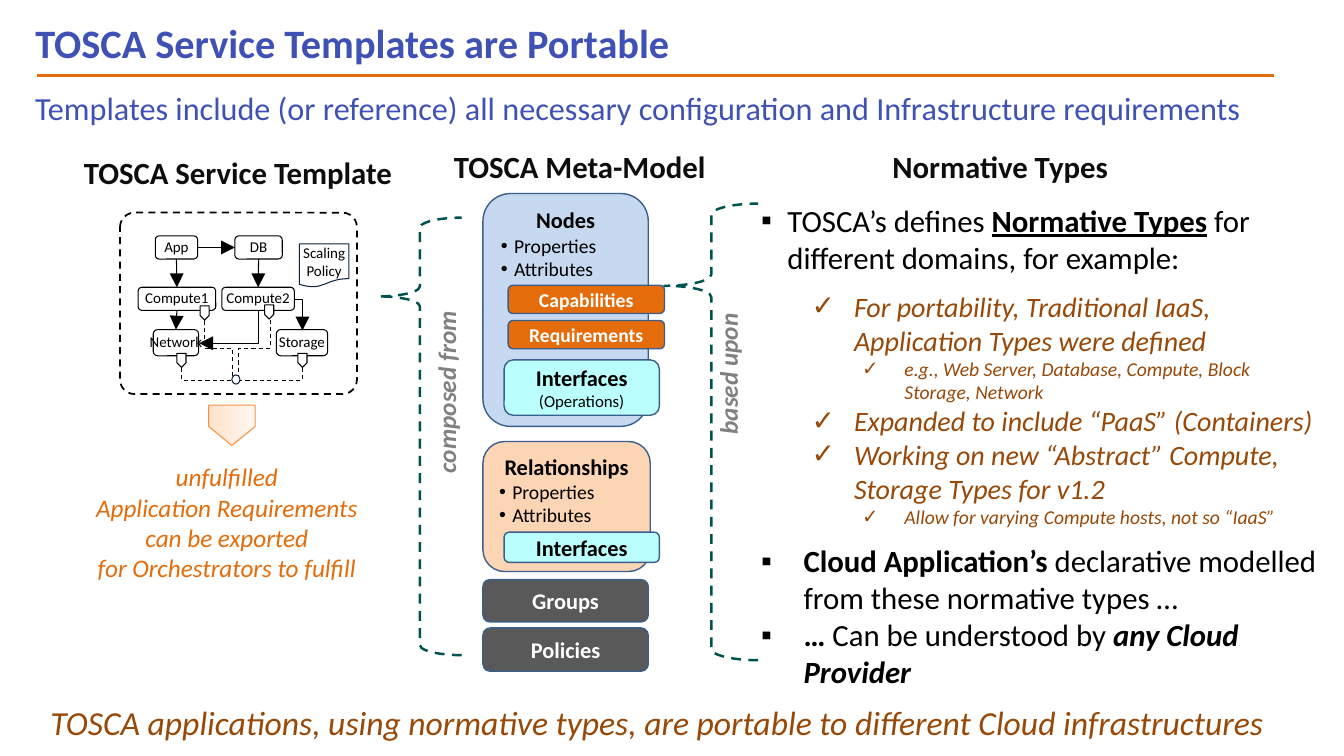
from dataclasses import dataclass, field
from typing import Any, Optional

from lxml import etree
from pptx import Presentation
from pptx.dml.color import RGBColor
from pptx.enum.dml import MSO_LINE
from pptx.enum.shapes import MSO_CONNECTOR as Link, MSO_SHAPE as Preset
from pptx.enum.text import MSO_ANCHOR as Anchor, MSO_AUTO_SIZE, PP_ALIGN as Align
from pptx.oxml.ns import qn
from pptx.util import Inches, Pt

FONT = "Calibri"
BLACK, WHITE, GREY, DARK_GREY = "000000", "FFFFFF", "808080", "595959"
INDIGO, ORANGE, BROWN, TEAL = "3F51B5", "E46C0A", "984807", "005250"
HEADING, NAVY, EDGE, AQUA = "0D0D0D", "0F243E", "3A5F8C", "BAFFFE"
BOLD, ITALIC, PLAIN = {"bold": True}, {"italic": True}, {}
NO_INSET, DEFAULT_INSET, WIDE_INSET = (0, 0), (0.1, 0.05), (0.13, 0.07)


@dataclass
class Line:
    runs: list[tuple[str, dict]]
    size: float
    color: str = BLACK
    align: Any = Align.CENTER
    bullet: str = ""
    level: int = 0
    left: float = 0
    hanging: float = 0
    before: float = 0
    spacing: float = 1


@dataclass
class Box:
    at: tuple[float, float, float, float]
    lines: list[Line] = field(default_factory=list)
    preset: Any = None  # None makes a text box
    fill: Optional[str] = None
    edge: str = EDGE
    weight: float = 1
    dashed: bool = False
    rotation: float = 0
    adjust: tuple[float, ...] = ()
    anchor: Any = Anchor.MIDDLE
    inset: tuple[float, float] = DEFAULT_INSET
    wrap: bool = True


@dataclass
class Elbow:
    at: tuple[float, float, float, float]  # frame before rotation
    rotation: int
    flipped: bool
    kind: str = "bentConnector2"
    dashed: bool = True


def rgb(color: str) -> RGBColor:
    return RGBColor.from_string(color)


def place(shape, at) -> None:
    for name, value in zip(("left", "top", "width", "height"), at):
        setattr(shape, name, Inches(value))


def write(shape, lines: list[Line], anchor, inset=DEFAULT_INSET, wrap=True) -> None:
    frame = shape.text_frame
    horizontal, vertical = map(Inches, inset)
    frame_format = {"auto_size": MSO_AUTO_SIZE.NONE, "word_wrap": wrap, "vertical_anchor": anchor,
                    "margin_left": horizontal, "margin_right": horizontal,
                    "margin_top": vertical, "margin_bottom": vertical}
    for name, value in frame_format.items():
        setattr(frame, name, value)
    for index, line in enumerate(lines):
        paragraph = frame.add_paragraph() if index else frame.paragraphs[0]
        if line.bullet:
            properties = paragraph._p.get_or_add_pPr()
            properties.set("marL", str(Inches(line.left)))
            properties.set("indent", str(-Inches(line.hanging)))
            etree.SubElement(properties, qn("a:buFont")).set("typeface", "Arial")
            etree.SubElement(properties, qn("a:buChar")).set("char", line.bullet)
        paragraph_format = {"level": line.level, "alignment": line.align,
                            "space_before": Pt(line.before), "line_spacing": line.spacing}
        for name, value in paragraph_format.items():
            setattr(paragraph, name, value)
        for text, style in line.runs:
            run = paragraph.add_run()
            run.text = text
            for name, value in {"name": FONT, "size": Pt(line.size), **style}.items():
                setattr(run.font, name, value)
            run.font.color.rgb = rgb(line.color)


def stroke(line, color: str, weight: float, dashed: bool = False) -> None:
    line.color.rgb = rgb(color)
    line.width = Pt(weight)
    if dashed:
        line.dash_style = MSO_LINE.DASH


def draw_box(slide, box: Box):
    frame = [Inches(value) for value in box.at]
    if box.preset is None:
        shape = slide.shapes.add_textbox(*frame)
    else:
        shape = slide.shapes.add_shape(box.preset, *frame)
        shape.shadow.inherit = False
        stroke(shape.line, box.edge, box.weight, box.dashed)
        for index, value in enumerate(box.adjust):
            shape.adjustments[index] = value
        if box.fill:
            shape.fill.solid()
            shape.fill.fore_color.rgb = rgb(box.fill)
        else:
            shape.fill.background()
    shape.rotation = box.rotation
    if box.lines:
        write(shape, box.lines, box.anchor, box.inset, box.wrap)
    return shape


def draw_link(slide, kind, start, end, color=BLACK, weight=0.75, dashed=False, arrow=False):
    link = slide.shapes.add_connector(kind, *map(Inches, start + end))
    stroke(link.line, color, weight, dashed)
    if arrow:
        etree.SubElement(link.line._get_or_add_ln(), qn("a:tailEnd"),
                         {"type": "triangle", "w": "lg", "len": "lg"})
    etree.SubElement(link._element.spPr, qn("a:effectLst"))
    return link


def draw_elbow(slide, elbow: Elbow) -> None:
    left, top, width, height = elbow.at
    link = draw_link(slide, Link.ELBOW, (left, top), (left + width, top + height),
                     dashed=elbow.dashed, arrow=not elbow.dashed)
    properties = link._element.spPr
    properties.find(qn("a:prstGeom")).set("prst", elbow.kind)
    frame = properties.find(qn("a:xfrm"))
    frame.set("rot", str(elbow.rotation * 60000))
    if elbow.flipped:
        frame.set("flipH", "1")


def label(text: str, size: float, color: str = BLACK, style: dict = BOLD, **options) -> Line:
    return Line([(text, style)], size, color, **options)


def item(runs, size, color, bullet, level, left, hanging, before=0) -> Line:
    return Line(runs, size, color, Align.LEFT, bullet, level, left, hanging, before)


def main_item(*runs, left=0.42, before=0) -> Line:
    return item(list(runs), 22, BLACK, "▪", 0, left, left, before)


def check_item(text: str, level: int = 1, before: float = 0) -> Line:
    size, left = {1: (20, 0.92), 2: (14, 1.42)}[level]
    return item([(text, ITALIC)], size, BROWN, "✓", level, left, 0.42, before)


def model_lines(name: str) -> list[Line]:
    return [label(name, 16)] + [item([(text, PLAIN)], 14, BLACK, "•", 0, 0.13, 0.13)
                                for text in ("Properties", "Attributes")]


def draw_topology(slide) -> None:
    draw_box(slide, Box((1.19, 2.11, 2.35, 1.8), [], Preset.ROUNDED_RECTANGLE, WHITE, BLACK, 1.25,
                        True, adjust=(0.08,)))
    nodes = {name: draw_box(slide, Box(at, [label(name, 10.7, style=PLAIN, spacing=0.9)],
                                       Preset.ROUNDED_RECTANGLE, WHITE, BLACK, 0.75,
                                       inset=NO_INSET, wrap=False))
             for name, at in {"App": (1.54, 2.34, 0.42, 0.23), "DB": (2.33, 2.34, 0.47, 0.23),
                              "Compute1": (1.37, 2.85, 0.77, 0.23),
                              "Compute2": (2.2, 2.85, 0.72, 0.23),
                              "Network": (1.52, 3.27, 0.45, 0.26),
                              "Storage": (2.74, 3.27, 0.51, 0.26)}.items()}
    for source, source_side, target, target_side in (
            ("App", 3, "DB", 1), ("App", 2, "Compute1", 0),
            ("DB", 2, "Compute2", 0), ("Compute1", 2, "Network", 0)):
        link = draw_link(slide, Link.STRAIGHT, (0, 0), (1, 1), arrow=True)
        link.begin_connect(nodes[source], source_side)
        link.end_connect(nodes[target], target_side)
    for left, top in ((1.73, 3.53), (1.96, 3.06), (2.6, 3.05), (2.93, 3.53)):
        draw_box(slide, Box((left, top, 0.14, 0.09), [], Preset.PENTAGON, WHITE, BLACK, 0.75,
                            rotation=90))
    for elbow in (Elbow((2.93, 2.97, 0.07, 0.31), 0, False, dashed=False),
                  Elbow((2.11, 2.95, 0.32, 0.59), 90, False, dashed=False),
                  Elbow((1.99, 3.46, 0.12, 0.5), 270, True),
                  Elbow((1.89, 3.32, 0.56, 0.28), 270, True, "bentConnector3"),
                  Elbow((2.24, 3.3, 0.57, 0.31), 90, False, "bentConnector3"),
                  Elbow((2.63, 3.4, 0.12, 0.62), 90, False)):
        draw_elbow(slide, elbow)
    draw_box(slide, Box((2.3, 3.72, 0.08, 0.09), [], Preset.FLOWCHART_CONNECTOR, WHITE, NAVY, 0.75))
    draw_box(slide, Box((2.97, 2.42, 0.49, 0.43),
                        [label(text, 10.7, style=PLAIN) for text in ("Scaling", "Policy")],
                        Preset.FLOWCHART_DOCUMENT, WHITE, NAVY, 0.75, inset=NO_INSET))


def draw_meta_model(slide) -> None:
    interfaces = label("Interfaces", 16)
    for at, lines, fill, anchor in (
            ((4.79, 1.92, 1.64, 2.31), model_lines("Nodes"), "C6D9F1", Anchor.TOP),
            ((4.79, 4.38, 1.66, 1.29), model_lines("Relationships"), "FCD5B5", Anchor.TOP),
            ((5.04, 2.83, 1.55, 0.28), [label("Capabilities", 14, WHITE)], ORANGE, Anchor.MIDDLE),
            ((5.04, 3.18, 1.55, 0.28), [label("Requirements", 14, WHITE)], ORANGE, Anchor.MIDDLE),
            ((5, 3.57, 1.54, 0.55), [interfaces, label("(Operations)", 12, style=PLAIN)],
             AQUA, Anchor.MIDDLE),
            ((5, 5.28, 1.54, 0.3), [interfaces], AQUA, Anchor.MIDDLE),
            ((4.79, 5.75, 1.64, 0.42), [label("Groups", 16, WHITE)], DARK_GREY, Anchor.MIDDLE),
            ((4.79, 6.23, 1.64, 0.43), [label("Policies", 16, WHITE)], DARK_GREY, Anchor.MIDDLE)):
        draw_box(slide, Box(at, lines, Preset.ROUNDED_RECTANGLE, fill, anchor=anchor))


def main() -> None:
    presentation = Presentation()
    presentation.slide_width, presentation.slide_height = Inches(13.33), Inches(7.5)
    slide = presentation.slides.add_slide(presentation.slide_layouts[1])
    title, body = slide.placeholders

    # Title, rule and the two statements
    place(title, (0.25, 0.17, 12.58, 0.56))
    write(title, [label("TOSCA Service Templates are Portable", 28.8, INDIGO, align=Align.LEFT,
                        spacing=0.9)], Anchor.MIDDLE)
    draw_link(slide, Link.STRAIGHT, (0.37, 0.75), (12.64, 0.75), ORANGE, 2)
    for text, at, size, color, style, inset in (
            ("Templates include (or reference) all necessary configuration and Infrastructure requirements",
             (0.25, 0.83, 12.58, 0.49), 23, INDIGO, PLAIN, DEFAULT_INSET),
            ("TOSCA applications, using normative types, are portable to different Cloud infrastructures",
             (0.37, 6.89, 12.68, 0.58), 24, BROWN, ITALIC, WIDE_INSET)):
        draw_box(slide, Box(at, [label(text, size, color, style, align=Align.LEFT)],
                            anchor=Anchor.TOP, inset=inset))

    # Column headings
    for text, at in (("TOSCA Service Template", (0.84, 1.46, 3.04, 0.37)),
                     ("TOSCA Meta-Model", (4.41, 1.4, 2.68, 0.37)),
                     ("Normative Types", (8.58, 1.4, 2.68, 0.37))):
        draw_box(slide, Box(at, [label(text, 22, HEADING)], anchor=Anchor.TOP, inset=WIDE_INSET,
                            wrap=False))

    # Service template with its exported requirements
    draw_topology(slide)
    export_arrow = draw_box(slide, Box((2.1, 3.99, 0.4, 0.46), [], Preset.PENTAGON, None, "F6923F",
                                       0.75, rotation=90, adjust=(0.47,)))
    export_arrow.fill.gradient()
    export_arrow.fill.gradient_angle = 90
    for stop, color in zip(export_arrow.fill.gradient_stops, ("FFE2CA", "FEF8F1")):
        stop.color.rgb = rgb(color)
    draw_box(slide, Box((0.8, 4.53, 2.9, 1.31), [label(text, 18, ORANGE, ITALIC) for text in (
        "unfulfilled", "Application Requirements", "can be exported",
        "for Orchestrators to fulfill")], anchor=Anchor.TOP, wrap=False))

    # Meta-model, braces and their captions
    for at in ((3.75, 2.16, 0.83, 4.34), (6.59, 2.02, 0.93, 4.53)):
        draw_box(slide, Box(at, [], Preset.LEFT_BRACE, None, TEAL, 1.75, True, adjust=(0.12, 0.18)))
    draw_meta_model(slide)
    for text, at in (("composed from", (3.51, 3.69, 1.83, 0.4)),
                     ("based upon", (6.51, 3.51, 1.42, 0.4))):
        draw_box(slide, Box(at, [label(text, 18, GREY, {**BOLD, **ITALIC})], rotation=270,
                            anchor=Anchor.TOP, wrap=False))

    # Normative types list
    place(body, (7.45, 1.95, 5.75, 5.05))
    write(body, [
        main_item(("TOSCA’s defines ", PLAIN), ("Normative Types", {**BOLD, "underline": True}),
                  (" for different domains, for example:", PLAIN), left=0.26),
        check_item("For portability, Traditional IaaS, Application Types were defined", before=10),
        check_item("e.g., Web Server, Database, Compute, Block Storage, Network", 2),
        check_item("Expanded to include “PaaS” (Containers)"),
        check_item("Working on new “Abstract” Compute, Storage Types for v1.2"),
        check_item("Allow for varying Compute hosts, not so “IaaS”", 2),
        main_item(("Cloud Application’s ", BOLD),
                  ("declarative modelled from these normative types …", PLAIN), before=10),
        main_item(("… ", BOLD), ("Can be understood by ", PLAIN),
                  ("any Cloud Provider", {**BOLD, **ITALIC}))], Anchor.TOP)
    presentation.save("out.pptx")


if __name__ == "__main__":
    main()
